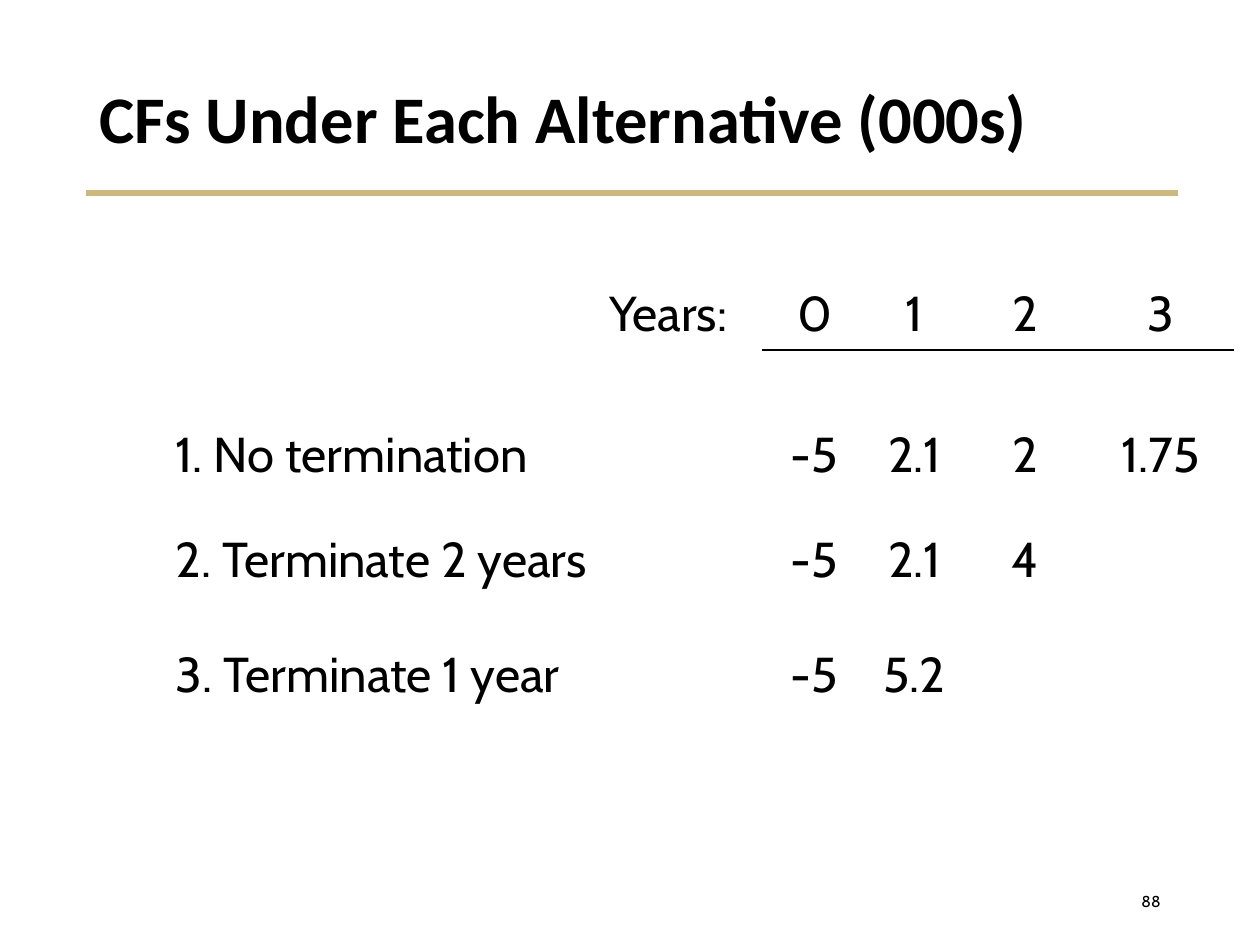
"""Build the slide of cash flows under each alternative."""
from lxml import etree
from pptx import Presentation
from pptx.dml.color import RGBColor
from pptx.enum.shapes import MSO_CONNECTOR
from pptx.enum.text import MSO_ANCHOR, PP_ALIGN
from pptx.oxml.ns import qn
from pptx.util import Inches, Pt

LEFT, MID, RIGHT = PP_ALIGN.LEFT, PP_ALIGN.CENTER, PP_ALIGN.RIGHT
CENTER = MSO_ANCHOR.MIDDLE
STRAIGHT = MSO_CONNECTOR.STRAIGHT
BLACK = RGBColor(0x00, 0x00, 0x00)
GOLD = RGBColor(0xCF, 0xB8, 0x7C)


def px(n):
    return Inches(n / 126)


def write(frame, text, font, size, align, bold=False):
    para = frame.paragraphs[0]
    para.text = text
    para.alignment = align
    for run in para.runs:
        run.font.name = font
        run.font.size = Pt(size)
        run.font.bold = bold
        run.font.color.rgb = BLACK
    return para


deck = Presentation()
deck.slide_width, deck.slide_height = px(1260), px(945)
slide = deck.slides.add_slide(deck.slide_layouts[6])
shapes = slide.shapes

rule = shapes.add_connector(STRAIGHT, px(86), px(193), px(1178), px(193))
rule.line.color.rgb = GOLD
rule.line.width = Pt(3)
etree.SubElement(rule._element.spPr, qn("a:effectLst"))

labels = [
    ((87, 50, 1086, 143), "CFs Under Each Alternative (000s)", "Calibri", 38, LEFT, True),
    ((890, 876, 283, 50), "88", "Cabin", 9, RIGHT, False),
]
for place, text, font, size, align, bold in labels:
    frame = shapes.add_textbox(*map(px, place)).text_frame
    frame.word_wrap = True
    frame.vertical_anchor = CENTER
    para = write(frame, text, font, size, align, bold)
    if bold:
        para.line_spacing = 0.9

rows = [
    ("Years:", "0", "1", "2", "3"),
    ("1. No termination", "-5", "2.1", "2", "1.75"),
    ("2. Terminate 2 years", "-5", "2.1", "4", ""),
    ("3. Terminate 1 year", "-5", "5.2", "", ""),
]
widths = (600, 103, 97, 125, 145)
heights = (72, 174, 115, 141)
table = shapes.add_table(
    len(rows), len(widths), px(163), px(278), px(sum(widths)), px(sum(heights))
).table
table.first_row = table.horz_banding = False
for col, width in zip(table.columns, widths):
    col.width = px(width)
for row, height in zip(table.rows, heights):
    row.height = px(height)

for r, row in enumerate(rows):
    for c, text in enumerate(row):
        cell = table.cell(r, c)
        cell.fill.background()
        align = MID if c else LEFT if r else RIGHT
        write(cell.text_frame, text, "Cabin", 28, align)
        if r == 1:
            cell.margin_top = px(75)
        if r == c == 0:
            cell.margin_right = px(36)
        if c and r < 2:
            edge = etree.Element(qn("a:lnT" if r else "a:lnB"), w=str(Pt(1)))
            fill = etree.SubElement(edge, qn("a:solidFill"))
            etree.SubElement(fill, qn("a:srgbClr"), val=str(BLACK))
            cell._tc.get_or_add_tcPr().insert(0, edge)

deck.save("out.pptx")
